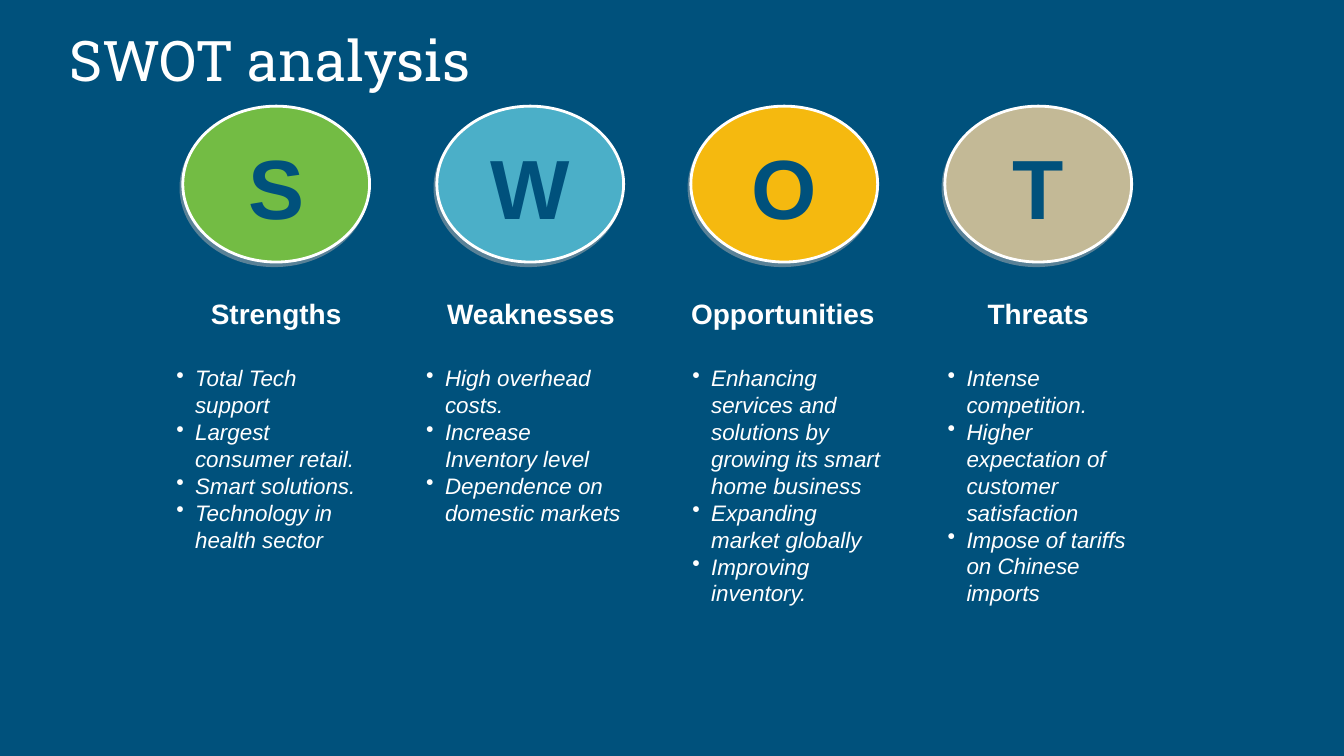
from dataclasses import dataclass

from lxml.etree import SubElement
from pptx import Presentation
from pptx.dml.color import RGBColor
from pptx.enum.shapes import MSO_SHAPE
from pptx.enum.text import MSO_ANCHOR, PP_ALIGN
from pptx.oxml.ns import qn
from pptx.util import Inches, Pt


@dataclass(frozen=True)
class Theme:
    navy: str = "00517C"
    white: str = "FFFFFF"
    shadow: str = "B2B2B2"
    green: str = "73BC44"
    blue: str = "4BAFC8"
    yellow: str = "F5B90F"
    sand: str = "C3B996"
    title_font: str = "Roboto Slab"
    body_font: str = "Arial"
    title_size: int = 30
    letter_size: int = 45
    heading_size: int = 15
    item_size: int = 12


theme = Theme()


def style(paragraph, size, color, name=theme.body_font, bold=False, italic=False):
    font = paragraph.font
    font.name, font.size = name, Pt(size)
    font.bold, font.italic = bold, italic
    font.color.rgb = RGBColor.from_string(color)


def add_label(text, left, top, width, height):
    box = slide.shapes.add_textbox(Inches(left), Inches(top), Inches(width), Inches(height))
    box.text_frame.word_wrap = True
    box.text_frame.text = text
    return box.text_frame


# Widescreen 16:9 slide
presentation = Presentation()
presentation.slide_width = Inches(10)
presentation.slide_height = Inches(10 * 9 / 16)
slide = presentation.slides.add_slide(presentation.slide_layouts[6])
slide.background.fill.solid()
slide.background.fill.fore_color.rgb = RGBColor.from_string(theme.navy)

# Title
title = add_label("SWOT analysis", 0.42, 0.08, 9.15, 0.71)
title.vertical_anchor = MSO_ANCHOR.BOTTOM
title.margin_top = title.margin_bottom = Inches(0.1)
style(title.paragraphs[0], theme.title_size, theme.white, theme.title_font)

# Heading, colour, letter width, heading left and width, list left and height, items
columns = [
    ("Strengths", theme.green, 0.73, 1.36, 1.39, 1.17, 1.81,
     ["Total Tech support", "Largest consumer retail.", "Smart solutions.",
      "Technology in health sector"]),
    ("Weaknesses", theme.blue, 0.94, 3.09, 1.72, 3.03, 1.95,
     ["High overhead costs.", "Increase Inventory level",
      "Dependence on domestic markets"]),
    ("Opportunities", theme.yellow, 0.81, 4.9, 1.85, 5.01, 2.41,
     ["Enhancing services and solutions by growing its smart home business",
      "Expanding market globally", "Improving inventory."]),
    ("Threats", theme.sand, 0.69, 7.16, 1.13, 6.91, 2.23,
     ["Intense competition.", "Higher expectation of customer satisfaction",
      "Impose of tariffs on Chinese imports"]),
]
first_left, pitch, oval_width = 1.36, 1.89, 1.39

for index, (heading, color, letter_width, heading_left, heading_width,
            list_left, list_height, items) in enumerate(columns):
    oval_left = first_left + index * pitch
    letter_left = oval_left + (oval_width - letter_width) / 2

    # Oval with a hard offset shadow
    oval = slide.shapes.add_shape(MSO_SHAPE.OVAL, Inches(oval_left), Inches(0.79),
                                  Inches(oval_width), Inches(1.16))
    oval.fill.solid()
    oval.fill.fore_color.rgb = RGBColor.from_string(color)
    oval.line.color.rgb = RGBColor.from_string(theme.white)
    oval.line.width = Pt(1.5)
    oval.shadow.inherit = False
    effects = oval.element.spPr.find(qn("a:effectLst"))
    shadow = SubElement(effects, qn("a:outerShdw"), blurRad="0", dist=str(Pt(2.2)),
                        dir=str(117 * 60000), algn="ctr", rotWithShape="0")
    shadow_color = SubElement(shadow, qn("a:srgbClr"), val=theme.shadow)
    SubElement(shadow_color, qn("a:alpha"), val="50000")

    # Letter on the oval and heading below it
    for text, left, top, width, height, size, text_color in (
        (heading[0], letter_left, 0.96, letter_width, 1.01, theme.letter_size, theme.navy),
        (heading, heading_left, 2.16, heading_width, 0.42, theme.heading_size, theme.white),
    ):
        label = add_label(text, left, top, width, height).paragraphs[0]
        label.alignment = PP_ALIGN.CENTER
        style(label, size, text_color, bold=True)

    # Bulleted list
    panel = slide.shapes.add_shape(MSO_SHAPE.ROUNDED_RECTANGLE, Inches(list_left),
                                   Inches(2.62), Inches(1.75), Inches(list_height))
    panel.adjustments[0] = 0.084
    panel.fill.background()
    panel.line.fill.background()
    panel.shadow.inherit = False
    panel.text_frame.word_wrap = True
    panel.text_frame.vertical_anchor = MSO_ANCHOR.TOP
    panel.text_frame.text = "\n".join(items)
    for item in panel.text_frame.paragraphs:
        item.alignment = PP_ALIGN.LEFT
        style(item, theme.item_size, theme.white, italic=True)
        properties = item._p.get_or_add_pPr()
        properties.set("marL", str(Inches(0.14)))
        properties.set("indent", str(-Inches(0.14)))
        bullet = properties.makeelement(qn("a:buChar"), {"char": "•"})
        bullet_color = properties.makeelement(qn("a:buClr"), {})
        SubElement(bullet_color, qn("a:srgbClr"), val=theme.white)
        run_defaults = properties.find(qn("a:defRPr"))
        run_defaults.addprevious(bullet_color)
        run_defaults.addprevious(bullet)

presentation.save("out.pptx")
